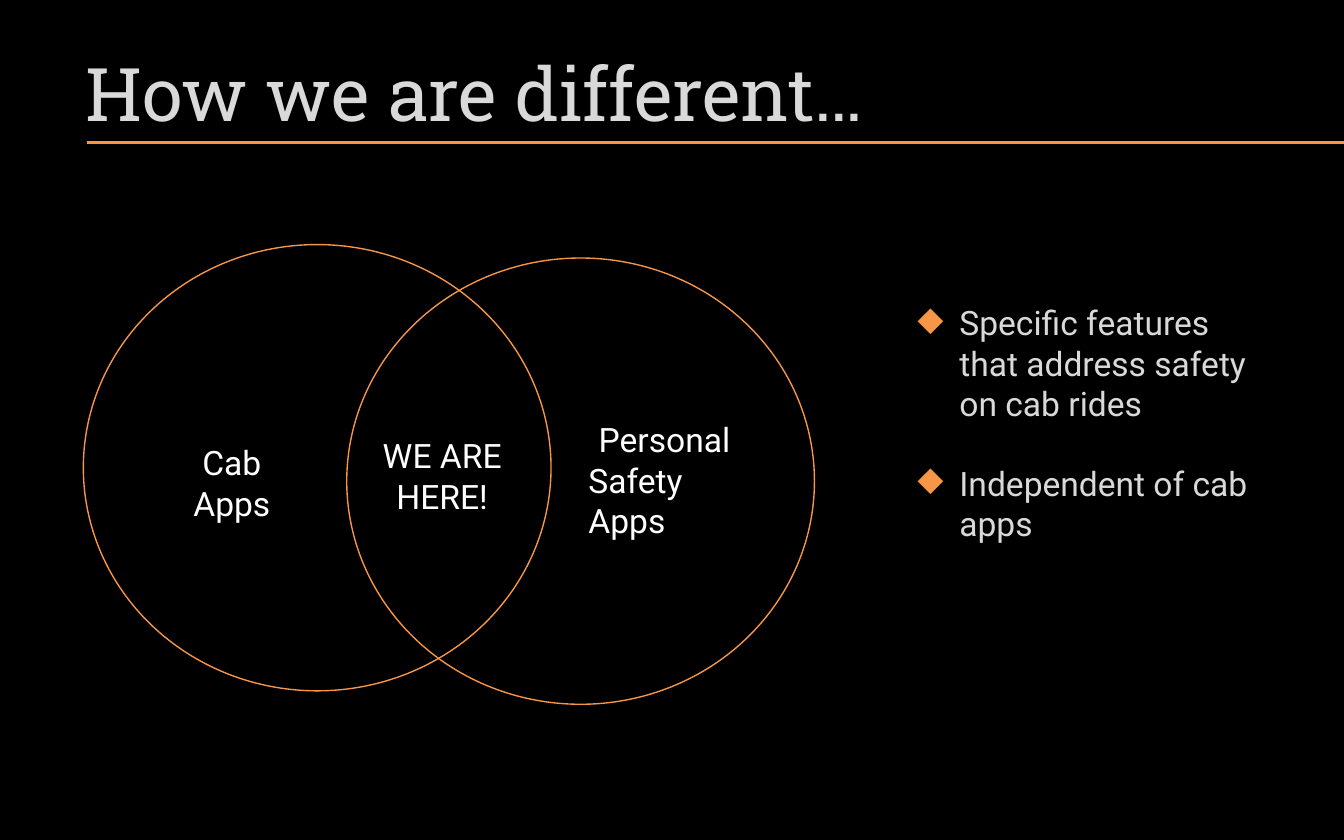
from lxml.etree import SubElement
from pptx import Presentation
from pptx.dml.color import RGBColor
from pptx.enum.shapes import MSO_CONNECTOR, MSO_SHAPE
from pptx.enum.text import MSO_ANCHOR, PP_ALIGN
from pptx.oxml.ns import qn
from pptx.util import Inches, Pt

ORANGE, GREY, WHITE, BLACK = "F79646", "D9D9D9", "FFFFFF", "000000"
LEFT, MID = PP_ALIGN.LEFT, PP_ALIGN.CENTER


def color(code):
    return RGBColor.from_string(code)


def write(frame, text, size=18, font="Roboto", ink=WHITE, align=(LEFT,),
          mark=None, gap=0):
    """Fill a frame, one paragraph per line; the last alignment carries on."""
    for i, line in enumerate(text.split("\n")):
        para = frame.paragraphs[0] if i == 0 else frame.add_paragraph()
        para.alignment = align[min(i, len(align) - 1)]
        if i:
            para.space_before = Pt(gap)
        run = para.add_run()
        run.text = line
        run.font.size = Pt(size)
        run.font.name = font
        run.font.color.rgb = color(ink)
        if mark:
            props = para._p.get_or_add_pPr()
            props.set("marL", str(Inches(0.31)))
            props.set("indent", str(-Inches(0.31)))
            tint = SubElement(props, qn("a:buClr"))
            SubElement(tint, qn("a:srgbClr"), val=ORANGE)
            SubElement(props, qn("a:buChar"), char=mark)


class Deck:
    """Holds the line style and the current slide."""

    def __init__(self, slide, line=ORANGE):
        self.slide = slide
        self.line = line
        fill = slide.background.fill
        fill.solid()
        fill.fore_color.rgb = color(BLACK)

    def text(self, box, words, anchor=MSO_ANCHOR.TOP, **style):
        frame = self.slide.shapes.add_textbox(*map(Inches, box)).text_frame
        frame.word_wrap = True
        frame.vertical_anchor = anchor
        write(frame, words, **style)

    def ring(self, box, width=0.75):
        ring = self.slide.shapes.add_shape(MSO_SHAPE.OVAL, *map(Inches, box))
        ring.shadow.inherit = False
        ring.fill.background()
        ring.line.color.rgb = color(self.line)
        ring.line.width = Pt(width)

    def rule(self, x, y, end, width=2):
        rule = self.slide.shapes.add_connector(
            MSO_CONNECTOR.STRAIGHT, *map(Inches, (x, y, end, y)))
        rule.line.color.rgb = color(self.line)
        rule.line.width = Pt(width)
        SubElement(rule._element.spPr, qn("a:effectLst"))


def main():
    show = Presentation()
    show.slide_width, show.slide_height = Inches(10), Inches(6.25)
    deck = Deck(show.slides.add_slide(show.slide_layouts[6]))

    # Title and rule
    deck.text((0.54, 0.31, 6.45, 0.75), "How we are different…",
              anchor=MSO_ANCHOR.MIDDLE, size=39.6, font="Roboto Slab",
              ink=GREY)
    deck.rule(0.65, 1.06, 10)

    # Venn circles
    for x, y in ((0.62, 1.82), (2.58, 1.92)):
        deck.ring((x, y, 3.48, 3.32))

    # Venn labels
    deck.text((1.24, 3.24, 0.97, 0.89), "Cab Apps", align=(MID,))
    deck.text((4.28, 3.07, 1.33, 1.27), "Personal\nSafety\nApps",
              align=(MID, LEFT))
    deck.text((2.73, 3.19, 1.12, 1.27), "WE ARE HERE!", align=(MID,))

    # Key points
    deck.text((6.73, 2.2, 2.79, 1.92),
              "Specific features that address safety on cab rides\n"
              "Independent of cab apps", ink=GREY, mark="◆", gap=21)

    show.save("out.pptx")


if __name__ == "__main__":
    main()
